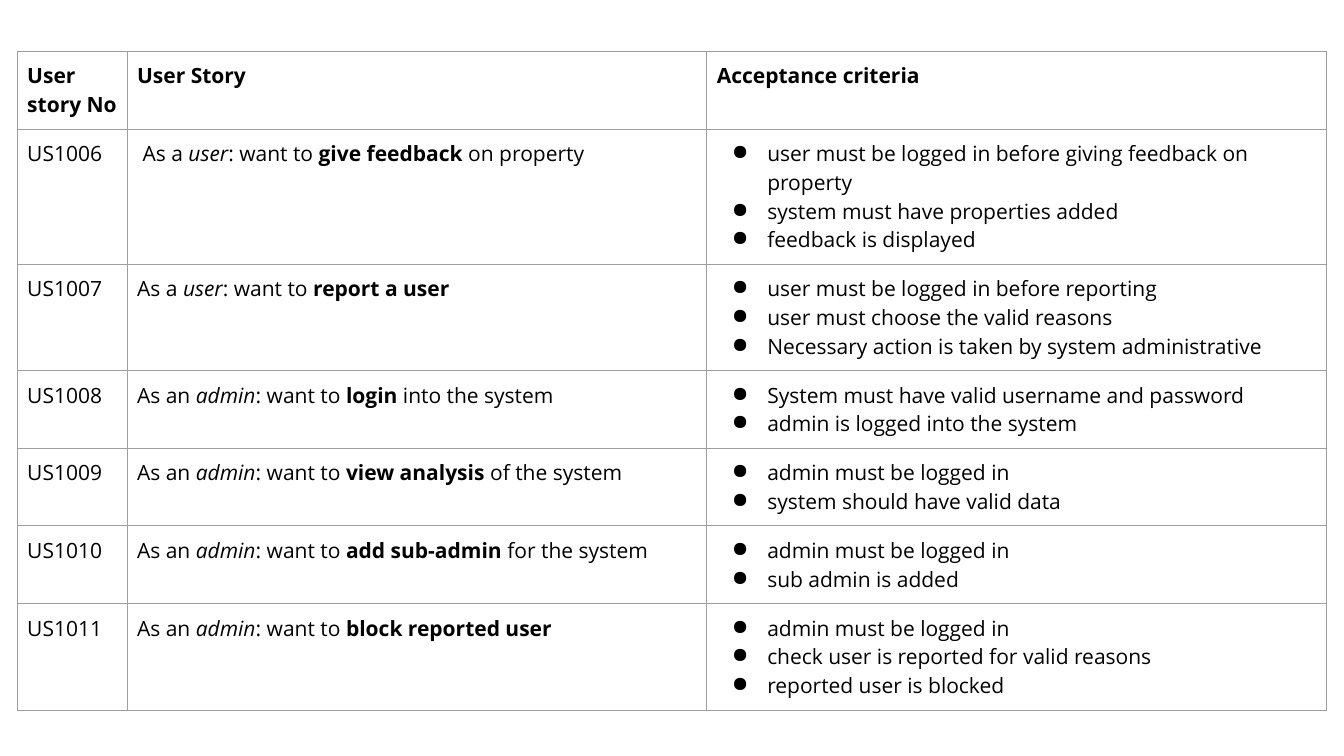
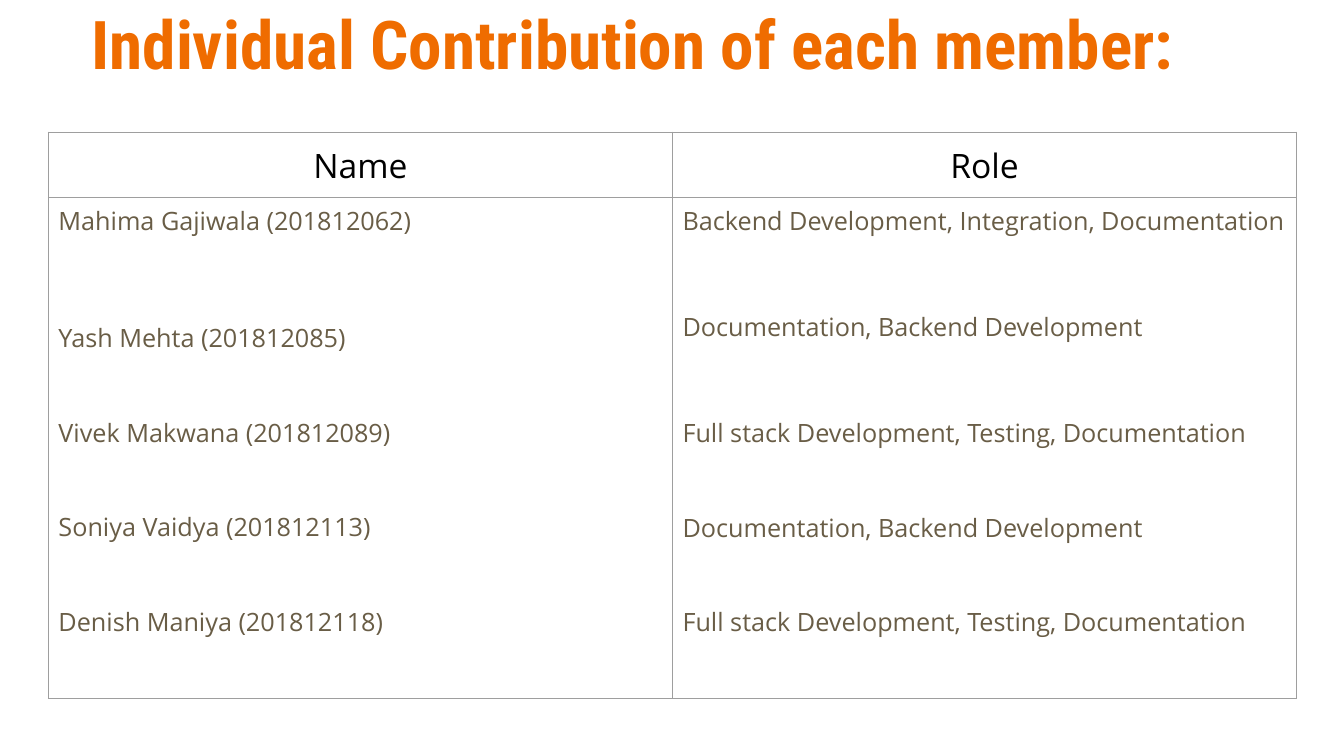
"""Build two slides: a user story table and a table of member roles."""
from lxml.etree import SubElement
from pptx import Presentation
from pptx.dml.color import RGBColor
from pptx.enum.text import MSO_ANCHOR as Anchor, PP_ALIGN as Align
from pptx.oxml import parse_xml
from pptx.oxml.ns import nsdecls, qn
from pptx.util import Inches, Pt

BLACK = RGBColor(0x00, 0x00, 0x00)
BROWN = RGBColor(0x69, 0x5D, 0x46)
ORANGE = RGBColor(0xEF, 0x6C, 0x00)
GREY = RGBColor(0x9E, 0x9E, 0x9E)
BODY = "Open Sans"
HEAD = "Roboto Condensed"
TIGHT = 0.85


def write(para, text, size, color=BLACK, bold=False, slant=False, face=BODY):
    run = para.add_run()
    run.text = text
    font = run.font
    font.name, font.size, font.bold, font.italic = face, Pt(size), bold, slant
    font.color.rgb = color


def grid(slide, left, top, cols, rows):
    frame = slide.shapes.add_table(len(rows), len(cols), Inches(left), Inches(top),
                                   Inches(sum(cols)), Inches(sum(rows)))
    table = frame.table
    table.first_row = table.horz_banding = False
    for col, width in zip(table.columns, cols):
        col.width = Inches(width)
    for row, height in zip(table.rows, rows):
        row.height = Inches(height)
    for cell in table.iter_cells():
        cell.margin_left = cell.margin_right = Inches(0.1)
        cell.margin_top = cell.margin_bottom = Inches(0.1)
        cell.fill.background()
        props = cell._tc.get_or_add_tcPr()
        for place, side in enumerate("LRTB"):
            props.insert(place, parse_xml(
                f'<a:ln{side} {nsdecls("a")} w="{Pt(0.75)}"><a:solidFill>'
                f'<a:srgbClr val="{GREY}"/></a:solidFill></a:ln{side}>'))
    return table


deck = Presentation()
deck.slide_width, deck.slide_height = Inches(13.33), Inches(7.5)
blank = deck.slide_layouts[6]

stories = [
    ("US1006", " As a ", "user", "give feedback", " on property",
     ["user must be logged in before giving feedback on property",
      "system must have properties added", "feedback is displayed"]),
    ("US1007", "As a ", "user", "report a user", "",
     ["user must be logged in before reporting", "user must choose the valid reasons",
      "Necessary action is taken by system administrative"]),
    ("US1008", "As an ", "admin", "login", " into the system",
     ["System must have valid username and password", "admin is logged into the system"]),
    ("US1009", "As an ", "admin", "view analysis", " of the system",
     ["admin must be logged in", "system should have valid data"]),
    ("US1010", "As an ", "admin", "add sub-admin", " for the system",
     ["admin must be logged in", "sub admin is added"]),
    ("US1011", "As an ", "admin", "block reported user", "",
     ["admin must be logged in", "check user is reported for valid reasons",
      "reported user is blocked"]),
]
lines = [2, 4, 3, 2, 2, 2, 3]
slide = deck.slides.add_slide(blank)
table = grid(slide, 0.17, 0.51, [1.09, 5.75, 6.15], [0.2 + 0.28 * n for n in lines])
for col, label in enumerate(["User story No", "User Story", "Acceptance criteria"]):
    write(table.cell(0, col).text_frame.paragraphs[0], label, 15, bold=True)
for row, (code, start, actor, goal, end, checks) in enumerate(stories, 1):
    write(table.cell(row, 0).text_frame.paragraphs[0], code, 15)
    para = table.cell(row, 1).text_frame.paragraphs[0]
    write(para, start, 15)
    write(para, actor, 15, slant=True)
    write(para, ": want to ", 15)
    write(para, goal, 15, bold=True)
    if end:
        write(para, end, 15)
    text = table.cell(row, 2).text_frame
    for num, check in enumerate(checks):
        para = text.add_paragraph() if num else text.paragraphs[0]
        props = para._p.get_or_add_pPr()
        props.set("marL", str(Inches(0.5)))
        props.set("indent", str(Inches(-0.35)))
        tint = SubElement(props, qn("a:buClr"))
        SubElement(tint, qn("a:srgbClr")).set("val", str(BLACK))
        SubElement(props, qn("a:buChar")).set("char", "●")
        write(para, check, 15)

slide = deck.slides.add_slide(blank)
title = slide.shapes.add_textbox(Inches(0.81), 0, Inches(11.78), Inches(0.98)).text_frame
title.word_wrap = True
title.vertical_anchor = Anchor.MIDDLE
title.paragraphs[0].line_spacing = TIGHT
write(title.paragraphs[0], "Individual Contribution of each member:", 48, ORANGE,
      bold=True, face=HEAD)

full = "Full stack Development, Testing, Documentation"
docs = "Documentation, Backend Development"
lists = [
    ("Name", [("Mahima Gajiwala (201812062)", 0), ("Yash Mehta (201812085)", 62.5),
              ("Vivek Makwana (201812089)", 46.8), ("Soniya Vaidya (201812113)", 46.8),
              ("Denish Maniya (201812118)", 46.8)]),
    ("Role", [("Backend Development, Integration, Documentation", 0), (docs, 54.7),
              (full, 54.7), (docs, 46.8), (full, 46.8)]),
]
table = grid(slide, 0.48, 1.31, [6.19, 6.19], [0.65, 4.97])
for col, (label, items) in enumerate(lists):
    para = table.cell(0, col).text_frame.paragraphs[0]
    para.alignment = Align.CENTER
    write(para, label, 24)
    text = table.cell(1, col).text_frame
    for num, (item, gap) in enumerate(items):
        para = text.add_paragraph() if num else text.paragraphs[0]
        para.line_spacing = TIGHT
        para.space_before = Pt(gap)
        write(para, item, 18, BROWN)

deck.save("out.pptx")
